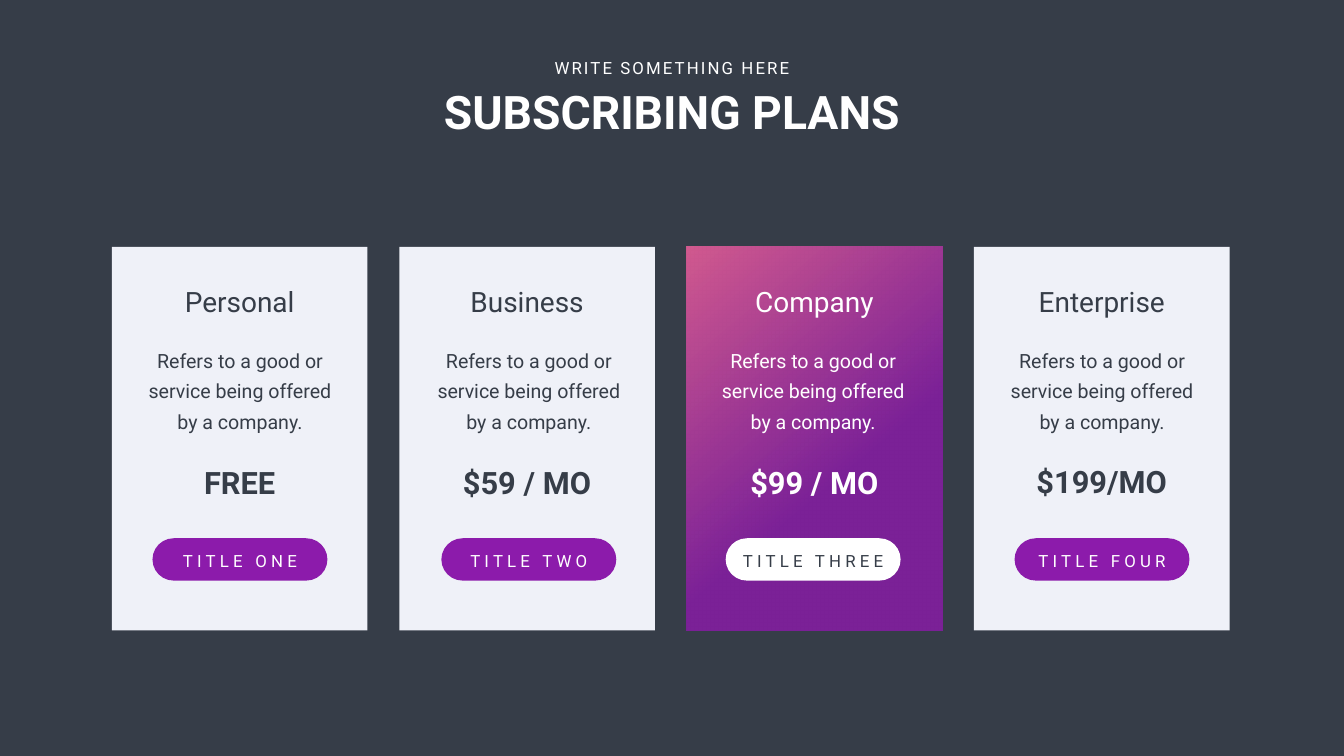
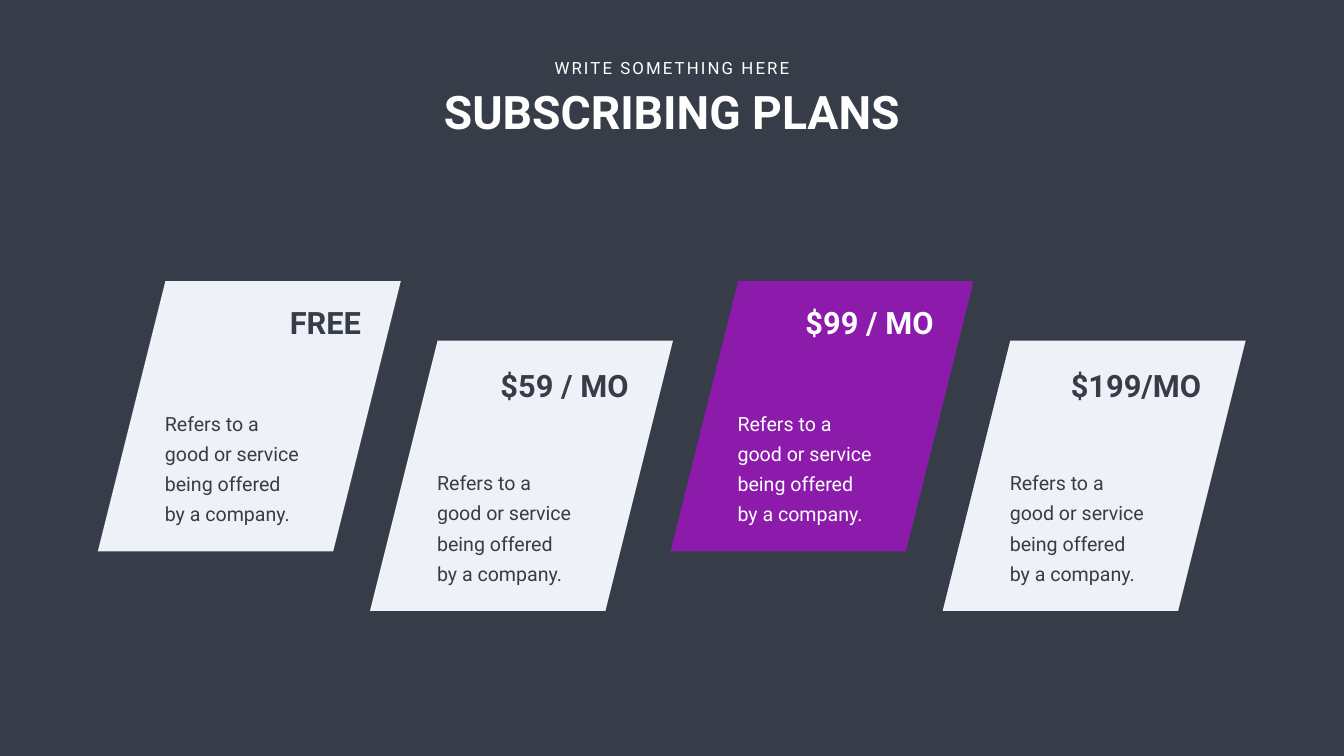
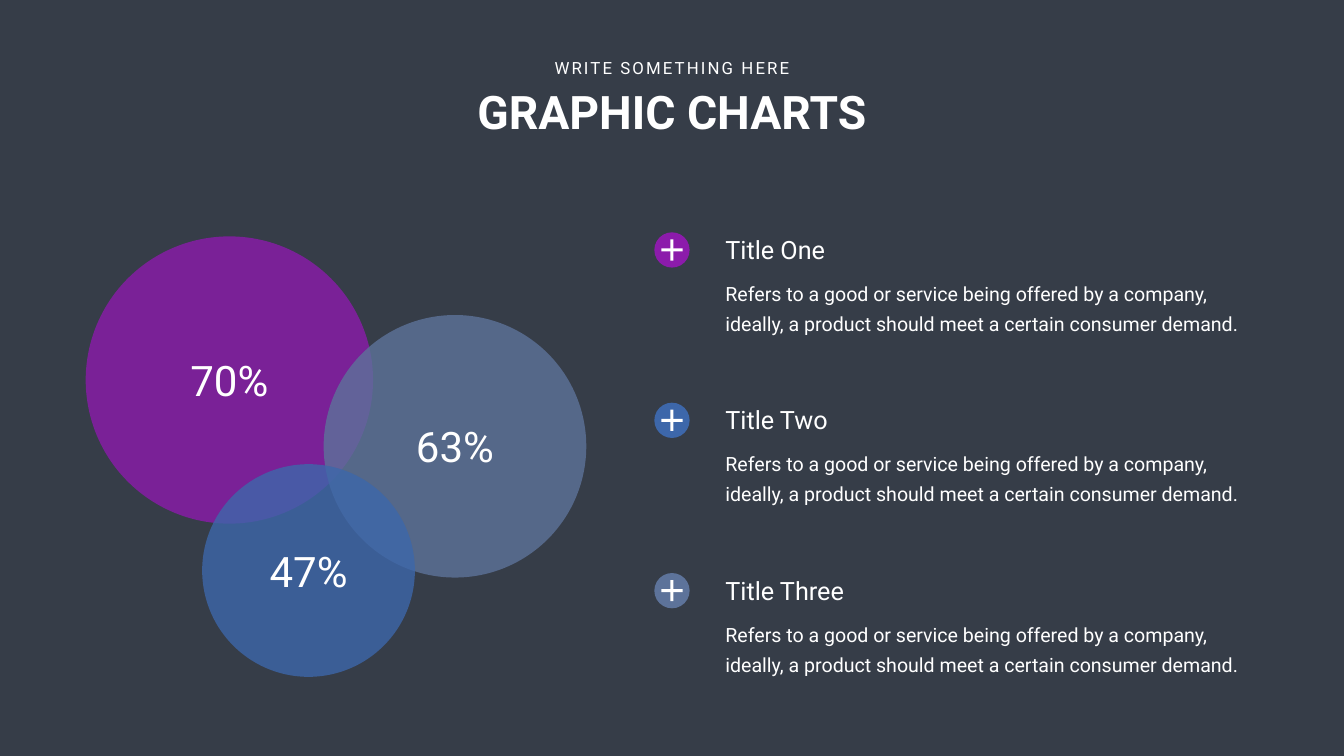
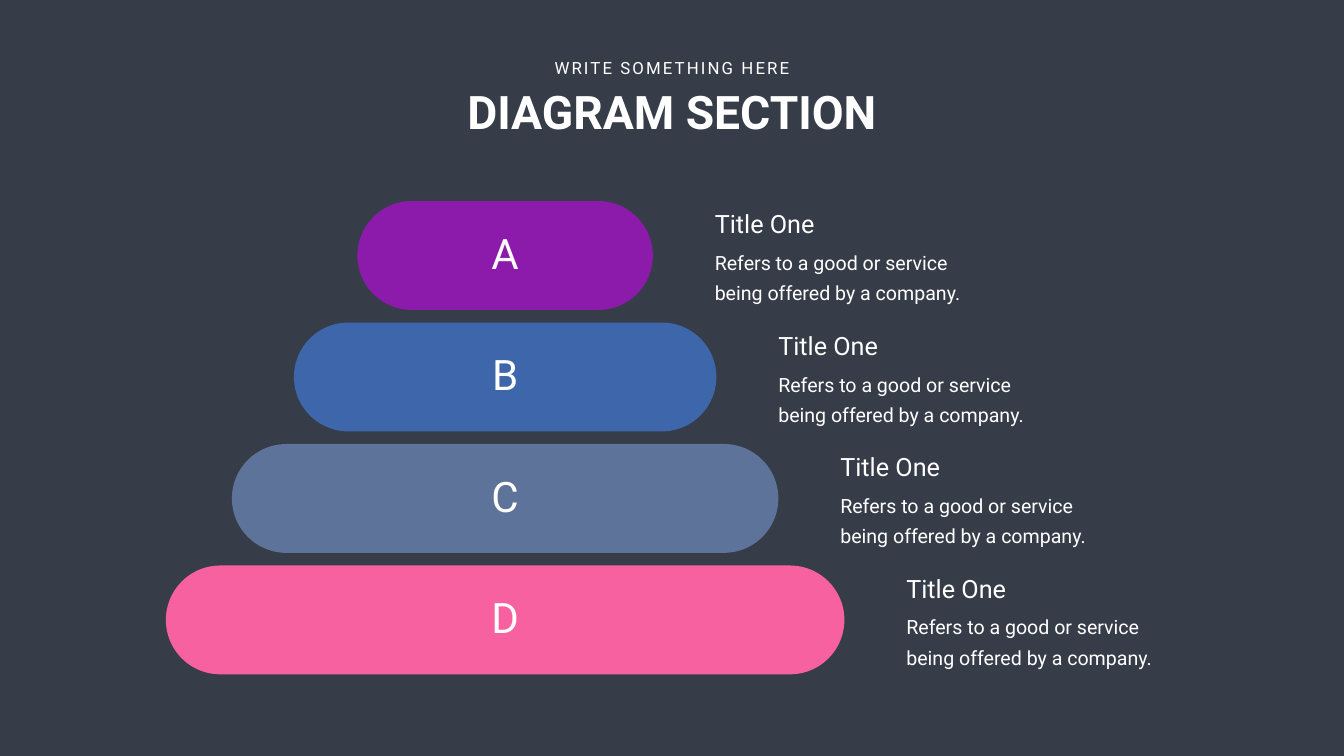
"""Build four dark slides: two price plans, a circle chart and a pyramid diagram."""
from dataclasses import dataclass

from lxml.etree import SubElement
from pptx import Presentation
from pptx.dml.color import RGBColor
from pptx.enum.shapes import MSO_SHAPE
from pptx.enum.text import MSO_AUTO_SIZE, PP_ALIGN
from pptx.oxml.ns import qn
from pptx.presentation import Presentation as Deck
from pptx.shapes.autoshape import Shape
from pptx.slide import Slide
from pptx.util import Inches, Pt

COLORS = {
    "ink": "363D48",
    "white": "FFFFFF",
    "card": "EFF1F8",
    "purple": "8C1BAB",
    "blue": "3D67AA",
    "slate": "5D739A",
    "pink": "F761A0",
}
FONT = "Roboto"
SLIDE_WIDTH, SLIDE_HEIGHT = 26.66, 15
OFFER = "Refers to a good or service being offered by a company."
DEMAND = ("Refers to a good or service being offered by a company, "
          "ideally, a product should meet a certain consumer demand.")


@dataclass(frozen=True)
class Box:
    left: float
    top: float
    width: float
    height: float

    @property
    def center(self) -> float:
        return self.left + self.width / 2


@dataclass(frozen=True)
class Style:
    size: int
    bold: bool = False
    align: PP_ALIGN = PP_ALIGN.LEFT
    tracking: int = 0
    leading: int = 0
    wrap: bool = True
    padded: bool = False


@dataclass(frozen=True)
class Plan:
    name: str
    price: str
    button: str
    button_center: float
    price_top: float = 9.16
    featured: bool = False


@dataclass(frozen=True)
class Share:
    label: str
    color: str
    circle: Box
    label_top: float


@dataclass(frozen=True)
class Topic:
    title: str
    color: str


@dataclass(frozen=True)
class Level:
    letter: str
    color: str
    width: float


HEADING = Style(66, bold=True, align=PP_ALIGN.CENTER)
KICKER = Style(24, align=PP_ALIGN.CENTER, tracking=3, wrap=False)
PLAN_NAME = Style(40, align=PP_ALIGN.CENTER, wrap=False)
PRICE = Style(44, bold=True, align=PP_ALIGN.CENTER)
SIDE_PRICE = Style(44, bold=True, align=PP_ALIGN.RIGHT)
CARD_BODY = Style(28, align=PP_ALIGN.CENTER, leading=43, padded=True)
TILE_BODY = Style(28, leading=43, padded=True)
BUTTON = Style(24, align=PP_ALIGN.CENTER, tracking=6, wrap=False)
PERCENT = Style(60, align=PP_ALIGN.CENTER, wrap=False)
LETTER = Style(60, align=PP_ALIGN.CENTER)
TOPIC_TITLE = Style(36)
TOPIC_BODY = Style(28, leading=43)

PLANS = [
    Plan("Personal", "FREE", "TITLE ONE", 4.76),
    Plan("Business", "$59 / MO", "TITLE TWO", 10.49),
    Plan("Company", "$99 / MO", "TITLE THREE", 16.13, featured=True),
    Plan("Enterprise", "$199/MO", "TITLE FOUR", 21.86, price_top=9.13),
]
SHARES = [
    Share("70%", "purple", Box(1.7, 4.69, 5.7, 5.7), 6.98),
    Share("63%", "slate", Box(6.42, 6.25, 5.21, 5.21), 8.3),
    Share("47%", "blue", Box(4.01, 9.21, 4.22, 4.22), 10.77),
]
TOPICS = [
    Topic("Title One", "purple"),
    Topic("Title Two", "blue"),
    Topic("Title Three", "slate"),
]
LEVELS = [
    Level("A", "purple", 5.86),
    Level("B", "blue", 8.38),
    Level("C", "slate", 10.84),
    Level("D", "pink", 13.46),
]


def rgb(color: str) -> RGBColor:
    return RGBColor.from_string(COLORS[color])


def centered(center: float, top: float, width: float, height: float) -> Box:
    return Box(center - width / 2, top, width, height)


def emu(box: Box) -> list[Inches]:
    return [Inches(side) for side in (box.left, box.top, box.width, box.height)]


def add_figure(slide: Slide, kind: MSO_SHAPE, box: Box, color: str) -> Shape:
    figure = slide.shapes.add_shape(kind, *emu(box))
    figure.shadow.inherit = False
    figure.line.fill.background()
    figure.fill.solid()
    figure.fill.fore_color.rgb = rgb(color)
    return figure


def add_pill(slide: Slide, box: Box, color: str) -> None:
    pill = add_figure(slide, MSO_SHAPE.ROUNDED_RECTANGLE, box, color)
    pill.adjustments[0] = 0.5


def set_opacity(figure: Shape, percent: int) -> None:
    for tint in figure.element.spPr.iter(qn("a:srgbClr")):
        SubElement(tint, qn("a:alpha")).set("val", str(percent * 1000))


def add_text(slide: Slide, text: str, box: Box, style: Style, color: str = "white") -> None:
    frame = slide.shapes.add_textbox(*emu(box)).text_frame
    frame.word_wrap = style.wrap
    frame.auto_size = MSO_AUTO_SIZE.SHAPE_TO_FIT_TEXT
    if style.padded:
        frame.margin_left = frame.margin_right = Inches(0.24)
        frame.margin_top = frame.margin_bottom = Inches(0.12)
    paragraph = frame.paragraphs[0]
    paragraph.text = text
    paragraph.alignment = style.align
    if style.leading:
        paragraph.line_spacing = Pt(style.leading)
    font = paragraph.font
    font.name, font.size, font.bold = FONT, Pt(style.size), style.bold
    font.color.rgb = rgb(color)
    if style.tracking:
        for run in paragraph.runs:
            run.font._element.set("spc", str(style.tracking * 100))


def add_titled_slide(deck: Deck, heading: str) -> Slide:
    slide = deck.slides.add_slide(deck.slide_layouts[6])
    slide.background.fill.solid()
    slide.background.fill.fore_color.rgb = rgb("ink")
    middle = SLIDE_WIDTH / 2
    add_text(slide, heading, centered(middle, 1.61, 11.44, 1.21), HEADING)
    add_text(slide, "WRITE SOMETHING HERE", centered(middle, 1.1, 5, 0.5), KICKER)
    return slide


def add_plan_card(slide: Slide, plan: Plan, left: float) -> None:
    card_box = Box(left, 4.9, 5.07, 7.61)
    card = add_figure(slide, MSO_SHAPE.RECTANGLE, card_box, "card")
    text_color, button_color, button_text = "ink", "purple", "white"
    if plan.featured:
        text_color, button_color, button_text = "white", "white", "ink"
        card.fill.gradient()
        card.fill.gradient_angle = 310
        for stop, color, position in zip(card.fill.gradient_stops, ("pink", "purple"), (0, 0.6)):
            stop.color.rgb = rgb(color)
            stop.position = position
        set_opacity(card, 80)
    add_text(slide, plan.name, centered(card_box.center, 5.59, 3.47, 0.77), PLAN_NAME, text_color)
    add_text(slide, plan.price, centered(card_box.center, plan.price_top, 3.47, 0.84),
             PRICE, text_color)
    add_text(slide, OFFER, centered(plan.button_center, 6.68, 4.4, 2), CARD_BODY, text_color)
    add_pill(slide, centered(plan.button_center, 10.68, 3.47, 0.84), button_color)
    add_text(slide, plan.button, centered(plan.button_center, 10.87, 3.47, 0.5),
             BUTTON, button_text)


def add_plan_tile(slide: Slide, plan: Plan, index: int) -> None:
    pair, lowered = divmod(index, 2)
    left = 1.94 + 11.36 * pair + 5.4 * lowered
    top = 5.58 + 1.18 * lowered
    tile_color, text_color = ("purple", "white") if plan.featured else ("card", "ink")
    add_figure(slide, MSO_SHAPE.PARALLELOGRAM, Box(left, top, 6.01, 5.36), tile_color)
    add_text(slide, OFFER, Box(left + 1.09, top + 2.34, 3.15, 2.6), TILE_BODY, text_color)
    price_box = Box(left + 2.17 - 0.09 * lowered, top + 0.4 + 0.07 * lowered, 3.15, 0.84)
    add_text(slide, plan.price, price_box, SIDE_PRICE, text_color)


def add_topic(slide: Slide, topic: Topic, top: float) -> None:
    add_text(slide, DEMAND, Box(14.29, top + 0.81, 10.68, 1.25), TOPIC_BODY)
    add_text(slide, topic.title, Box(14.29, top, 4.19, 0.71), TOPIC_TITLE)
    badge = Box(12.98, top + 0.01, 0.7, 0.7)
    add_figure(slide, MSO_SHAPE.OVAL, badge, topic.color)
    for angle in (0, 90):
        stroke_box = centered(badge.center, badge.top + 0.14, 0.06, 0.42)
        stroke = add_figure(slide, MSO_SHAPE.RECTANGLE, stroke_box, "white")
        stroke.rotation = angle


def add_level(slide: Slide, level: Level, top: float) -> None:
    pill = centered(10.02, top, level.width, 2.16)
    add_pill(slide, pill, level.color)
    add_text(slide, level.letter, centered(pill.center, top + 0.47, 1.52, 1.22), LETTER)
    text_left = pill.left + pill.width + 1.13
    add_text(slide, OFFER, Box(text_left, top + 0.81, 5.47, 1.25), TOPIC_BODY)
    add_text(slide, "Title One", Box(text_left, top + 0.1, 4.19, 0.71), TOPIC_TITLE)


def main() -> None:
    deck = Presentation()
    deck.slide_width, deck.slide_height = Inches(SLIDE_WIDTH), Inches(SLIDE_HEIGHT)

    cards = add_titled_slide(deck, "SUBSCRIBING PLANS")
    for index, plan in enumerate(PLANS):
        add_plan_card(cards, plan, 2.22 + 5.7 * index)

    tiles = add_titled_slide(deck, "SUBSCRIBING PLANS")
    for index, plan in enumerate(PLANS):
        add_plan_tile(tiles, plan, index)

    charts = add_titled_slide(deck, "GRAPHIC CHARTS")
    for share in SHARES:
        set_opacity(add_figure(charts, MSO_SHAPE.OVAL, share.circle, share.color), 80)
    for share in SHARES:
        label_box = centered(share.circle.center, share.label_top, 1.76, 1.11)
        add_text(charts, share.label, label_box, PERCENT)
    for index, topic in enumerate(TOPICS):
        add_topic(charts, topic, 4.6 + 3.38 * index)

    pyramid = add_titled_slide(deck, "DIAGRAM SECTION")
    for index, level in enumerate(LEVELS):
        add_level(pyramid, level, 3.99 + 2.41 * index)

    deck.save("out.pptx")


if __name__ == "__main__":
    main()
